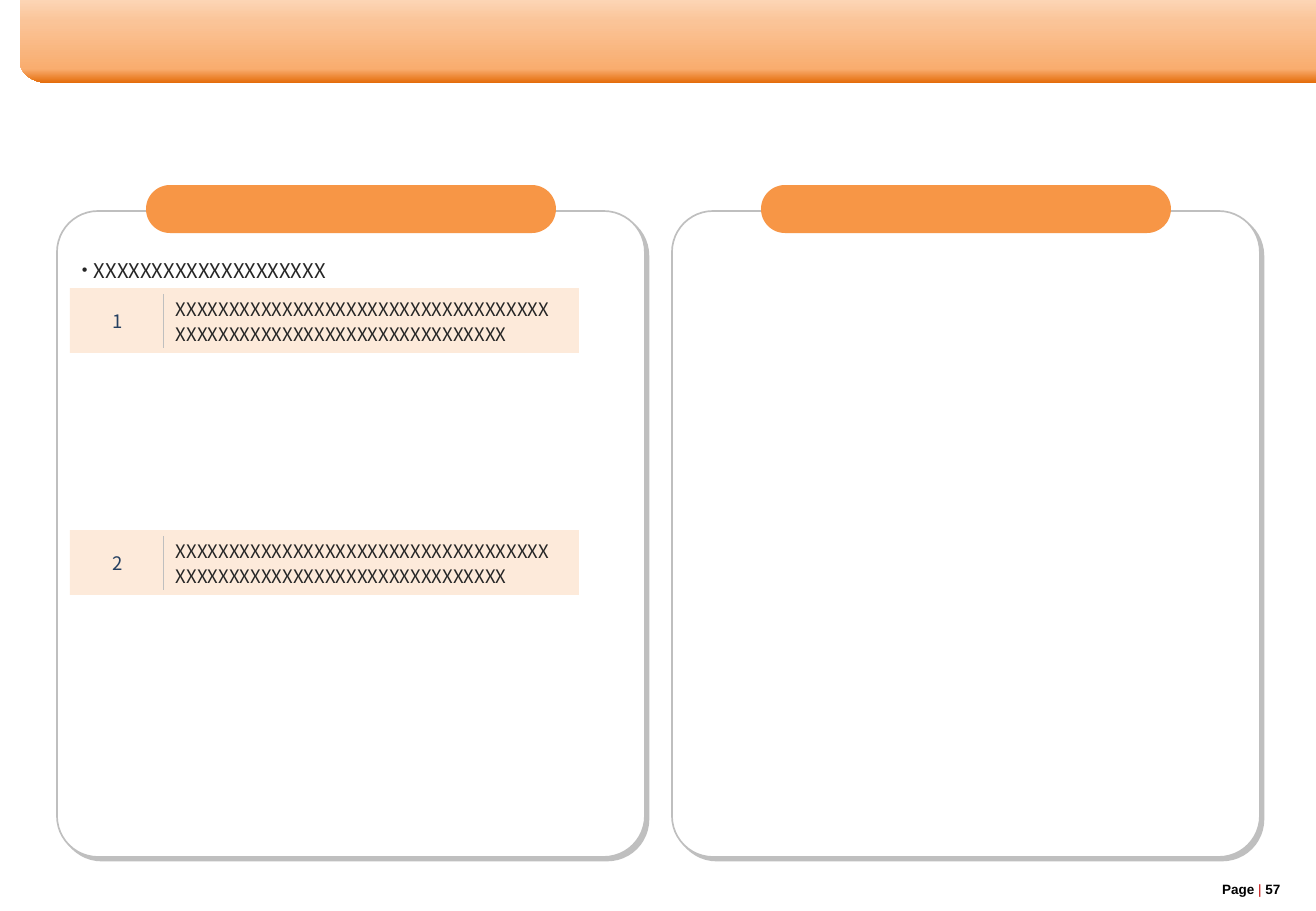
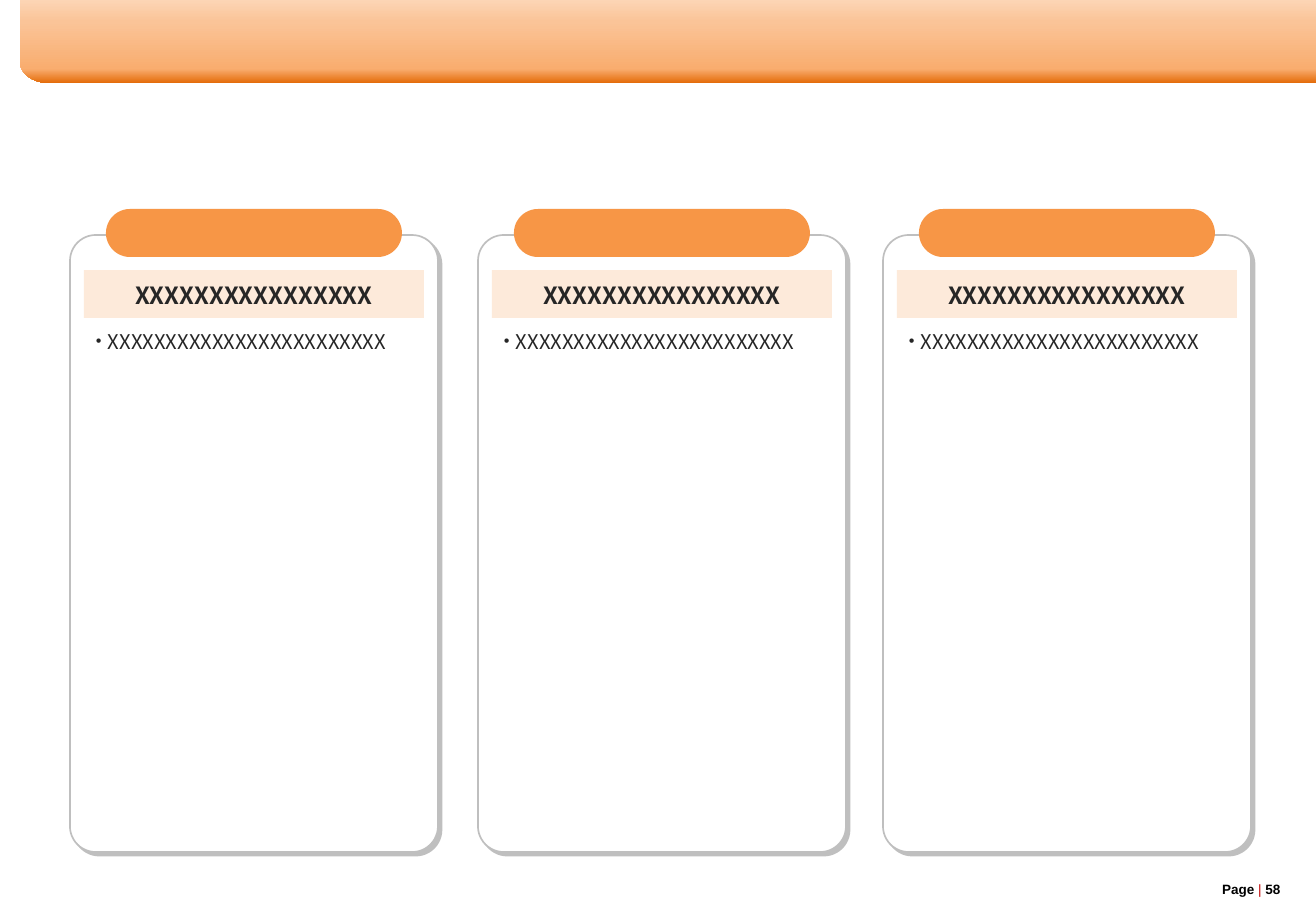
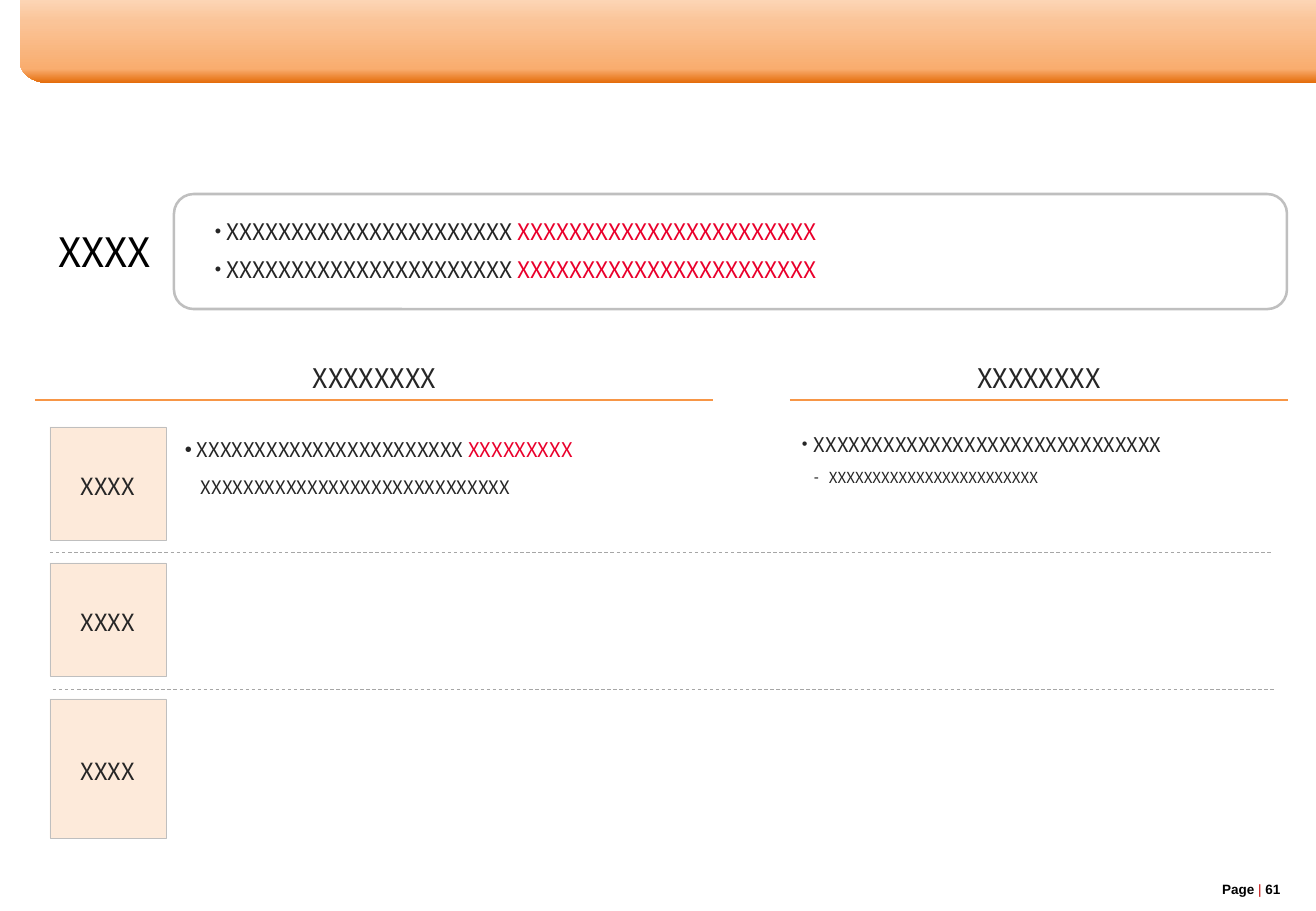
from math import cos, pi, sin

from lxml import etree
from pptx import Presentation
from pptx.dml.color import RGBColor
from pptx.enum.dml import MSO_LINE
from pptx.enum.shapes import MSO_CONNECTOR, MSO_SHAPE
from pptx.enum.text import MSO_ANCHOR, PP_ALIGN
from pptx.oxml.ns import qn
from pptx.util import Pt

PX = 7526  # EMU per px
RECT, ROUND = MSO_SHAPE.RECTANGLE, MSO_SHAPE.ROUNDED_RECTANGLE
ROUND_TOP = MSO_SHAPE.ROUND_2_SAME_RECTANGLE
TOP, MIDDLE = MSO_ANCHOR.TOP, MSO_ANCHOR.MIDDLE
LEFT, CENTER = PP_ALIGN.LEFT, PP_ALIGN.CENTER
STRAIGHT, DASH = MSO_CONNECTOR.STRAIGHT, MSO_LINE.DASH


class Theme:
    font, footer_font = "Noto Sans CJK KR", "Arial"
    white, black, text = "FFFFFF", "000000", "262626"
    accent, tint, red, bar, navy = "F79646", "FDEADA", "EA002C", "C00000", "254061"
    border, dash = "BFBFBF", "A6A6A6"
    band = ((0, "FCD5B5"), (26, "FAC498"), (83, "F9AD6F"), (100, "E46C0A"))
    label, heading, sub, lead, body, row, note, footer = 24, 16, 14, 13.5, 12, 11, 9, 8


def add_box(s, kind, rect, fill=None, line=None, line_w=1, adj=(),
            paras=(), ins=(12, 6, 12, 6), anchor=TOP):
    """Add a preset shape, or a text box if kind is None.

    A paragraph is (runs, size, options); a run is (text, colour[, bold]).
    """
    x, y, w, h = (v * PX for v in rect)
    if kind is None:
        sp = s.shapes.add_textbox(x, y, w, h)
    else:
        sp = s.shapes.add_shape(kind, x, y, w, h)
        sp.shadow.inherit = False
        for i, value in enumerate(adj):
            sp.adjustments[i] = value
        if fill:
            sp.fill.solid()
            sp.fill.fore_color.rgb = RGBColor.from_string(fill)
        else:
            sp.fill.background()
        if line:
            sp.line.color.rgb = RGBColor.from_string(line)
            sp.line.width = Pt(line_w)
        else:
            sp.line.fill.background()
    tf = sp.text_frame
    tf.word_wrap = True
    tf.vertical_anchor = anchor
    tf.margin_left, tf.margin_top, tf.margin_right, tf.margin_bottom = (v * PX for v in ins)
    for i, (runs, size, opt) in enumerate(paras):
        p = tf.add_paragraph() if i else tf.paragraphs[0]
        if "bullet" in opt:
            char, percent, margin, hang = opt["bullet"]
            pPr = p._p.get_or_add_pPr()
            pPr.set("marL", str(margin * PX))
            pPr.set("indent", str(-hang * PX))
            etree.SubElement(pPr, qn("a:buSzPct")).set("val", str(percent * 1000))
            etree.SubElement(pPr, qn("a:buFont")).set("typeface", Theme.footer_font)
            etree.SubElement(pPr, qn("a:buChar")).set("char", char)
        p.alignment = opt.get("align", LEFT)
        p.line_spacing = opt.get("spacing", 1.0)
        p.space_before = Pt(opt.get("before", 0))
        p.space_after = Pt(opt.get("after", 0))
        for text, color, *bold in runs:
            r = p.add_run()
            r.text = text
            r.font.name = opt.get("font", Theme.font)
            r.font.size = Pt(size)
            r.font.bold = bool(bold)
            r.font.color.rgb = RGBColor.from_string(color)
    return sp


def add_line(s, x1, y1, x2, y2, color, width, dash=None):
    ln = s.shapes.add_connector(STRAIGHT, x1 * PX, y1 * PX, x2 * PX, y2 * PX)
    ln.line.color.rgb = RGBColor.from_string(color)
    ln.line.width = Pt(width)
    if dash:
        ln.line.dash_style = dash
    etree.SubElement(ln._element.spPr, qn("a:effectLst"))


prs = Presentation()
prs.slide_width, prs.slide_height = 1316 * PX, 911 * PX
DOT = ("•", 80, 12, 12)

# Every slide: header band and page number
slides = []
for page in (57, 58, 61):
    s = prs.slides.add_slide(prs.slide_layouts[6])
    slides.append(s)
    corner = [(49 + 29 * cos(a), 62 + 21 * sin(a))
              for a in (pi / 2 + pi / 2 * i / 16 for i in range(17))]
    outline = [(x * PX, y * PX) for x, y in [(1316, 0), (1316, 83), *corner]]
    builder = s.shapes.build_freeform(20 * PX, 0)
    builder.add_line_segments(outline, close=True)
    band = builder.convert_to_shape()
    band.shadow.inherit = False
    band.line.fill.background()
    band.fill.gradient()
    band.fill.gradient_angle = 270
    stops = band._element.spPr.find(".//" + qn("a:gsLst"))
    for stop in list(stops):
        stops.remove(stop)
    for pos, color in Theme.band:
        stop = etree.SubElement(stops, qn("a:gs"))
        stop.set("pos", str(pos * 1000))
        etree.SubElement(stop, qn("a:srgbClr")).set("val", color)
    runs = [("Page ", Theme.black, True), ("| ", Theme.bar), (str(page), Theme.black, True)]
    add_box(s, None, (1210, 873, 103, 33), anchor=MIDDLE,
            paras=[(runs, Theme.footer, {"font": Theme.footer_font})])
two_panels, three_panels, comparison = slides

# Panels with a pill on the top edge
for s, lefts, y, w, h, inset in ((two_panels, (57, 672), 211, 588, 646, 89),
                                 (three_panels, (70, 478, 883), 235, 368, 617, 36)):
    for x in lefts:
        panel = add_box(s, ROUND, (x, y, w, h), Theme.white, Theme.border, adj=[0.07])
        effects = panel._element.spPr.find(qn("a:effectLst"))
        shadow = etree.SubElement(effects, qn("a:outerShdw"), blurRad="0", dist="38100",
                                  dir="2700000", algn="tl", rotWithShape="0")
        etree.SubElement(shadow, qn("a:srgbClr")).set("val", Theme.border)
        add_box(s, ROUND, (x + inset, y - 26, w - 2 * inset, 48), Theme.accent, adj=[0.5])

# Slide 1: bullet and numbered rows
s = two_panels
add_box(s, None, (70, 236, 509, 46), ins=(12, 15, 0, 0),
        paras=[([("X" * 20, Theme.text)], Theme.body, {"bullet": DOT, "spacing": 1.3})])
for number, y in (("1", 288), ("2", 530)):
    add_box(s, RECT, (70, y, 509, 65), Theme.tint)
    add_box(s, None, (164, y + 2, 402, 85),
            paras=[([("X" * 66, Theme.text)], Theme.row, {"spacing": 1.1})])
    add_box(s, None, (84, y + 7, 68, 51), ins=(0, 0, 0, 0), anchor=MIDDLE,
            paras=[([(number, Theme.navy)], Theme.row,
                    {"align": CENTER, "spacing": 1.1, "after": 6})])
    add_line(s, 163, y + 6, 163, y + 60, Theme.border, 0.5)

# Slide 2: subheading and bullet in each panel
s = three_panels
for x in (84, 492, 897):
    add_box(s, RECT, (x, 270, 340, 48), Theme.tint, ins=(12, 0, 12, 0), anchor=MIDDLE,
            paras=[([("X" * 16, Theme.text, True)], Theme.sub,
                    {"align": CENTER, "spacing": 1.1, "after": 6})])
    add_box(s, None, (x, 323, 340, 62), ins=(12, 6, 0, 6),
            paras=[([("X" * 24, Theme.text)], Theme.body, {"bullet": DOT})])

# Slide 3: summary box, lying on its side
s = comparison
summary = add_box(s, ROUND_TOP, (673, -305, 115, 1113), Theme.white, Theme.border, 1.5,
                  adj=[0.17, 0.17])
summary.rotation = 270
runs = [("X" * 22 + " ", Theme.text), ("X" * 23, Theme.red)]
add_box(s, None, (203, 210, 1069, 81), anchor=MIDDLE,
        paras=[(runs, Theme.lead, {"bullet": DOT, "before": gap}) for gap in (0, 6)])
add_box(s, None, (35, 204, 139, 90), anchor=MIDDLE,
        paras=[([("XXXX", Theme.black)], Theme.label, {"align": CENTER, "spacing": 1.1})])

# Slide 3: column headings and row dividers
for x, w, x1, x2 in ((106, 537, 35, 713), (880, 318, 790, 1288)):
    add_box(s, None, (x, 356, w, 45),
            paras=[([("X" * 8, Theme.text)], Theme.heading, {"align": CENTER})])
    add_line(s, x1, 400, x2, 400, Theme.accent, 1.5)
for x, y in ((50, 552), (53, 689)):
    add_line(s, x, y, x + 1222, y, Theme.dash, 0.5, DASH)

# Slide 3: row labels
for y, h in ((427, 113), (563, 113), (699, 139)):
    add_box(s, RECT, (50, y, 116, h), Theme.tint, Theme.border, 0.25,
            ins=(0, 6, 0, 6), anchor=MIDDLE,
            paras=[([("XXXX", Theme.text)], Theme.sub,
                    {"align": CENTER, "spacing": 1.2, "after": 6})])

# Slide 3: text of the first row
add_box(s, None, (790, 427, 498, 113), ins=(12, 0, 5, 6), paras=[
    ([("X" * 30, Theme.text)], Theme.body, {"bullet": DOT, "spacing": 1.2}),
    ([("X" * 24, Theme.text)], Theme.note,
     {"bullet": ("-", 100, 27, 15), "spacing": 1.1, "before": 6})])
add_box(s, ROUND, (175, 427, 507, 43), adj=[0], ins=(10, 0, 12, 0), anchor=MIDDLE,
        paras=[([("X" * 23 + " ", Theme.text), ("X" * 9, Theme.red)], Theme.body,
                {"bullet": ("•", 100, 12, 12), "spacing": 1.1, "after": 6})])
add_box(s, None, (196, 468, 497, 34), ins=(5, 6, 0, 6),
        paras=[([("X" * 29, Theme.text)], Theme.row, {"spacing": 1.1})])

prs.save("out.pptx")
